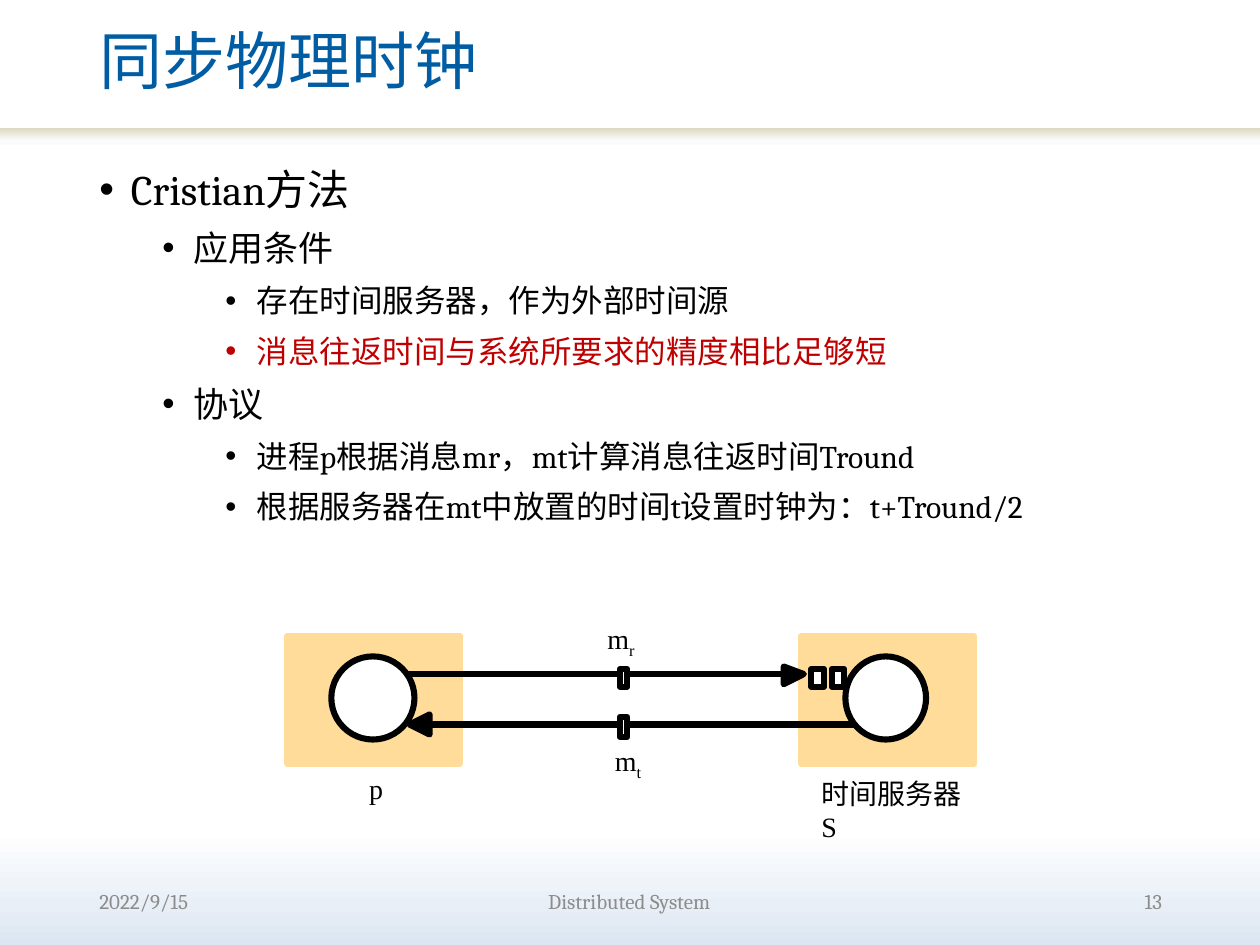
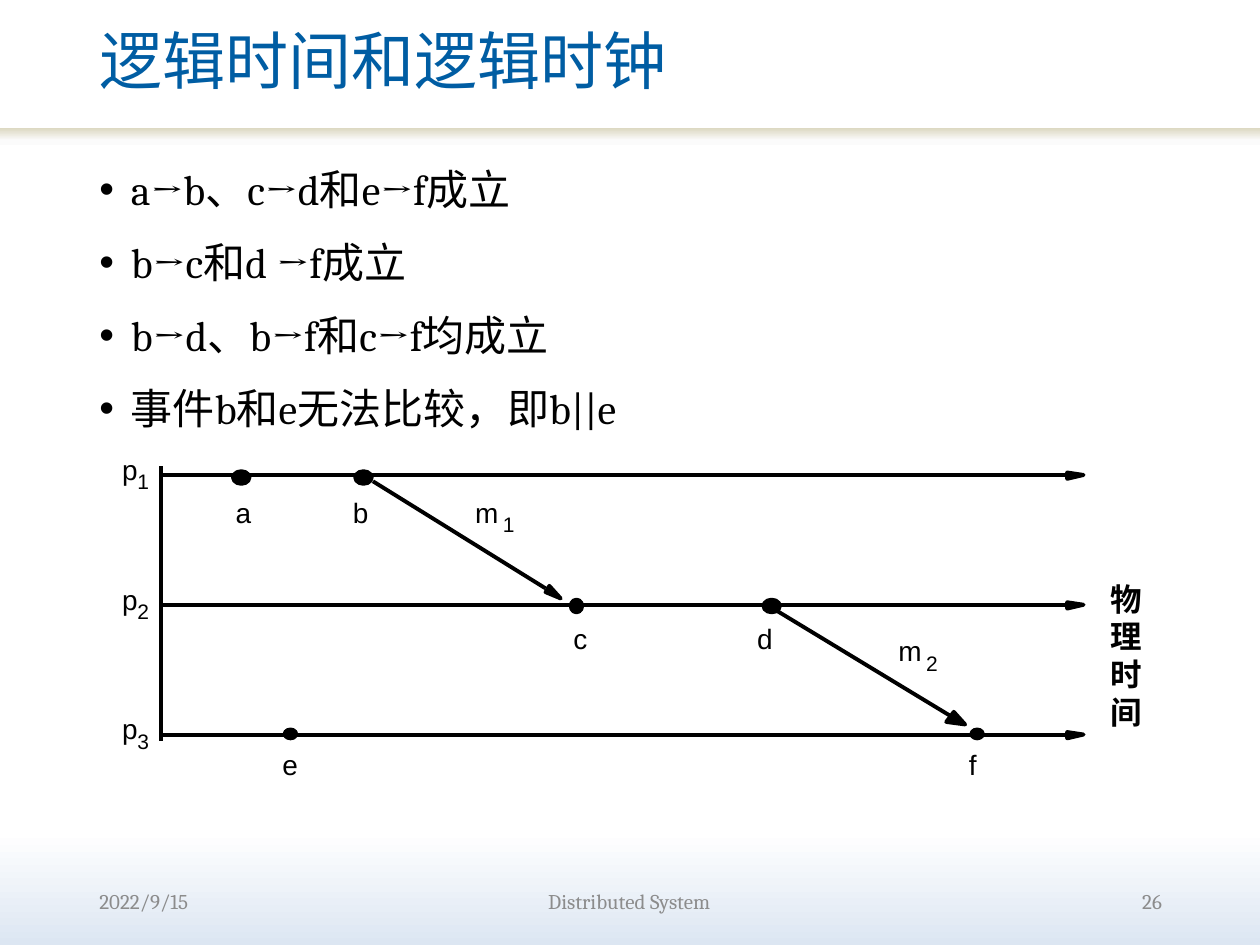
import copy
import pptx
import pptx.dml.color
import pptx.enum.shapes
import pptx.enum.text
import pptx.oxml.ns
import pptx.util
from lxml import etree

qn = pptx.oxml.ns.qn
inch = pptx.util.Inches
rgb = pptx.dml.color.RGBColor.from_string
RECT = pptx.enum.shapes.MSO_SHAPE.RECTANGLE
OVAL = pptx.enum.shapes.MSO_SHAPE.OVAL
STRAIGHT = pptx.enum.shapes.MSO_CONNECTOR.STRAIGHT
LEFT, CENTER, RIGHT = (pptx.enum.text.PP_ALIGN.LEFT, pptx.enum.text.PP_ALIGN.CENTER,
                       pptx.enum.text.PP_ALIGN.RIGHT)

BLACK, WHITE, RED = "000000", "FFFFFF", "C00000"
TITLE_BLUE, FOOTER_GREY, PANEL = "005DA3", "8C8C8C", "FFDC99"
SERIF = "Cambria"
WIDTH, HEIGHT = 10, 7.5
MARGIN, BAND_TOP = 0.69, 1.02
BULLET_SIZES = (24, 20, 18)


def ink(shape, fill, line, weight):
    """Give a shape or connector its fill and line, without shadow."""
    if fill:
        shape.fill.solid()
        shape.fill.fore_color.rgb = rgb(fill)
    if line:
        shape.line.color.rgb = rgb(line)
        shape.line.width = pptx.util.Pt(weight)
    else:
        shape.line.fill.background()
    etree.SubElement(shape._element.spPr, qn("a:effectLst"))


def write(slide, box, text, size, font, color, sub="", snug=False, wrap=True,
          bold=None, align=LEFT):
    """Add a text box; snug drops the insets, sub is set as a subscript."""
    frame = slide.shapes.add_textbox(*map(inch, box)).text_frame
    frame.word_wrap = wrap
    if snug:
        frame.margin_left = frame.margin_right = frame.margin_top = frame.margin_bottom = 0
        frame.auto_size = pptx.enum.text.MSO_AUTO_SIZE.SHAPE_TO_FIT_TEXT
    frame.text = text
    if sub:
        subscript = frame.paragraphs[0].add_run()
        subscript.text = sub
        subscript._r.get_or_add_rPr().set("baseline", "-25000")
    for paragraph in frame.paragraphs:
        paragraph.alignment = align
        for run in paragraph.runs:
            run.font.size = pptx.util.Pt(size)
            run.font.name = font
            run.font.bold = bold
            run.font.color.rgb = rgb(color)
    return frame


# Message exchange between process p and the time server
TIMES = dict(size=16, font="Times New Roman", color=BLACK, snug=True, wrap=False)
REQUEST, REPLY = 5.35, 5.75
exchange = dict(
    title="同步物理时钟", number="13", weight=3.5,
    bullets=[(0, "Cristian方法", BLACK),
             (1, "应用条件", BLACK),
             (2, "存在时间服务器，作为外部时间源", BLACK),
             (2, "消息往返时间与系统所要求的精度相比足够短", RED),
             (1, "协议", BLACK),
             (2, "进程p根据消息mr，mt计算消息往返时间Tround", BLACK),
             (2, "根据服务器在mt中放置的时间t设置时钟为：t+Tround/2", BLACK)],
    behind=[(RECT, (2.28, 5.05, 1.37, 1.01), PANEL, PANEL),
            (RECT, (6.36, 5.05, 1.37, 1.01), PANEL, PANEL),
            (OVAL, (2.63, 5.21, 0.66, 0.66), WHITE, BLACK)],
    lines=[((3.23, REQUEST), (6.22, REQUEST)), ((6.85, REPLY), (3.41, REPLY))],
    heads=[((6.38, REQUEST), (6.22, REQUEST + 0.08), (6.22, REQUEST - 0.06)),
           ((3.25, REPLY), (3.41, REPLY - 0.08), (3.41, REPLY + 0.08))],
    front=[(RECT, (x, y, w, h), WHITE, BLACK) for x, y, w, h in
           ((6.44, 5.31, 0.1, 0.14), (6.6, 5.31, 0.1, 0.14),
            (4.92, 5.31, 0.06, 0.14), (4.92, 5.69, 0.06, 0.16))]
    + [(OVAL, (6.71, 5.21, 0.64, 0.66), WHITE, BLACK)],
    labels=[((4.88, 5.9, 0.22, 0.27), "m", dict(TIMES, sub="t")),
            ((2.93, 6.12, 0.11, 0.27), "p", TIMES),
            ((6.52, 6.16, 1.2, 0.54), "时间服务器S", dict(TIMES, wrap=True)),
            ((4.82, 4.93, 0.22, 0.27), "m", dict(TIMES, sub="r"))])

# Events of three processes along physical time
ARIAL = dict(size=16, font="Arial", color=BLACK, snug=True, wrap=False)
INDEX = dict(ARIAL, size=12)
AXIS_LEFT, AXIS_RIGHT = 1.28, 8.47
rows = [3.77 + 1.03 * row for row in range(3)]
events = [  # name, row, dot left, dot width, dot height, label left
    ("a", 0, 1.85, 0.13, 0.1, 1.87), ("b", 0, 2.82, 0.13, 0.1, 2.8),
    ("c", 1, 4.53, 0.09, 0.1, 4.55), ("d", 1, 6.06, 0.13, 0.1, 6.01),
    ("e", 2, 2.26, 0.09, 0.07, 2.24), ("f", 2, 7.71, 0.09, 0.07, 7.69)]
indexed = [("p", str(row + 1), 0.97, y - 0.18, 0.12) for row, y in enumerate(rows)]
indexed += [("m", "1", 3.77, 3.93, 0.22), ("m", "2", 7.13, 5.03, 0.22)]

event_labels = [((x, rows[row] + (0.16, 0.13, 0.1)[row], 0.12, 0.24), name, ARIAL)
                for name, row, _, _, _, x in events]
for letter, index, x, y, step in indexed:
    event_labels.append(((x, y, min(step, 0.18), 0.24), letter, ARIAL))
    event_labels.append(((x + step, y + 0.13, 0.09, 0.18), index, INDEX))
event_labels.append(((8.81, 4.6, 0.28, 1.2), "物理\n时间",
                     dict(ARIAL, size=18, font="Cabin", bold=True, wrap=True)))

timeline = dict(
    title="逻辑时间和逻辑时钟", number="26", weight=2.25,
    bullets=[(0, text, BLACK) for text in
             ("a→b、c→d和e→f成立", "b→c和d →f成立", "b→d、b→f和c→f均成立",
              "事件b和e无法比较，即b||e")],
    behind=[],
    lines=[((AXIS_LEFT, y), (AXIS_RIGHT, y)) for y in rows]
    + [((AXIS_LEFT, 3.7), (AXIS_LEFT, 5.88)),
       ((2.96, 3.82), (4.33, 4.67)), ((6.17, 4.85), (7.54, 5.68))],
    heads=[((AXIS_RIGHT, y - 0.02), (AXIS_RIGHT + 0.13, y), (AXIS_RIGHT, y + 0.03))
           for y in rows]
    + [((4.36, 4.65), (4.45, 4.75), (4.33, 4.7)),
       ((7.57, 5.65), (7.66, 5.75), (7.51, 5.73))],
    front=[(OVAL, (x, rows[row] - 0.04 + (0.01 if row == 0 else 0), w, h), BLACK, BLACK)
           for _, row, x, w, h, _ in events],
    labels=event_labels)

deck = pptx.Presentation()
deck.slide_width, deck.slide_height = inch(WIDTH), inch(HEIGHT)

for page in (exchange, timeline):
    slide = deck.slides.add_slide(deck.slide_layouts[6])

    # Background and band under the title
    band = slide.shapes.add_shape(RECT, 0, inch(BAND_TOP), inch(WIDTH), inch(0.17))
    ink(band, None, None, 0)
    background = slide.background.fill
    background.gradient()
    band.fill.gradient()
    band_stops = band._element.spPr.find(".//" + qn("a:gsLst"))
    band_stops.append(copy.deepcopy(band_stops[-1]))
    for fill, angle, stops in (
            (background, 270, ((0.88, WHITE), (1, "DCE6F2"))),
            (band.fill, 90, ((0, WHITE), (0.45, "FBFBFB"), (1, "DDD9C3")))):
        fill.gradient_angle = angle
        for stop, (position, color) in zip(fill.gradient_stops, stops):
            stop.position = position
            stop.color.rgb = rgb(color)

    # Title and footers
    title = write(slide, (MARGIN, 0, 8.3, BAND_TOP), page["title"], 36, SERIF, TITLE_BLUE)
    title.paragraphs[0].line_spacing = 0.9
    title.vertical_anchor = pptx.enum.text.MSO_ANCHOR.MIDDLE
    for x, w, text, align in ((MARGIN, 2.08, "2022/9/15", LEFT),
                              (2.76, 4.47, "Distributed System", CENTER),
                              (7.24, 2.08, page["number"], RIGHT)):
        footer = write(slide, (x, 6.95, w, 0.4), text, 12, SERIF, FOOTER_GREY, align=align)
        footer.vertical_anchor = pptx.enum.text.MSO_ANCHOR.MIDDLE

    # Bullets
    body = write(slide, (MARGIN, 1.21, WIDTH - 2 * MARGIN, 5.55),
                 "\n".join(text for _, text, _ in page["bullets"]), 24, SERIF, BLACK)
    for order, (paragraph, (level, _, color)) in enumerate(
            zip(body.paragraphs, page["bullets"])):
        properties = paragraph._p.get_or_add_pPr()
        properties.set("marL", str(inch(0.25 + 0.5 * level)))
        properties.set("indent", str(inch(-0.25)))
        etree.SubElement(properties, qn("a:buFont")).set("typeface", "Arial")
        etree.SubElement(properties, qn("a:buChar")).set("char", "•")
        paragraph.level = level
        paragraph.line_spacing = 1.1
        if order:
            paragraph.space_before = pptx.util.Pt(5 if level else 10)
        for run in paragraph.runs:
            run.font.size = pptx.util.Pt(BULLET_SIZES[level])
            run.font.color.rgb = rgb(color)

    # Diagram
    weight = page["weight"]
    for kind, box, fill, line in page["behind"]:
        ink(slide.shapes.add_shape(kind, *map(inch, box)), fill, line, weight)
    for start, end in page["lines"]:
        connector = slide.shapes.add_connector(STRAIGHT, *map(inch, start + end))
        ink(connector, None, BLACK, weight)
    for corners in page["heads"]:
        tip, *others = [(inch(x), inch(y)) for x, y in corners]
        outline = slide.shapes.build_freeform(*tip)
        outline.add_line_segments(others, close=True)
        ink(outline.convert_to_shape(), BLACK, BLACK, weight)
    for kind, box, fill, line in page["front"]:
        ink(slide.shapes.add_shape(kind, *map(inch, box)), fill, line, weight)
    for box, text, style in page["labels"]:
        write(slide, box, text, **style)

deck.save("out.pptx")
